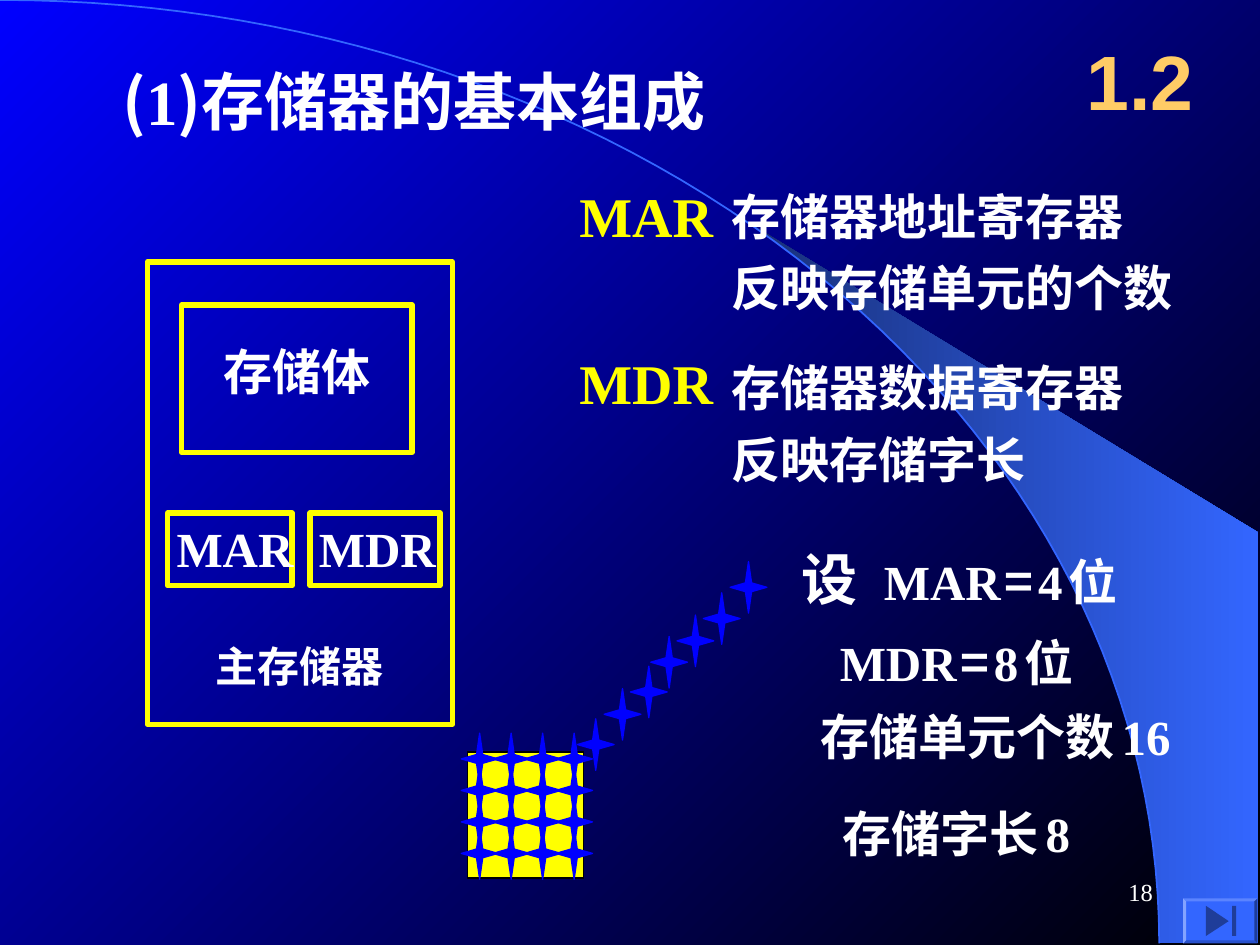
from math import asin, cos, pi, sin

from lxml.etree import SubElement
from pptx import Presentation
from pptx.dml.color import RGBColor
from pptx.enum.shapes import MSO_SHAPE as Kind
from pptx.enum.text import MSO_ANCHOR as Anchor, PP_ALIGN as Align
from pptx.oxml.ns import qn
from pptx.util import Cm, Pt

CJK, ROMAN, SANS = "Noto Sans CJK SC", "Times New Roman", "Arial"
WHITE, YELLOW, BLUE, SKY = "FFFFFF", "FFFF00", "0000FF", "3366FF"

# Paragraphs are lists of runs: (text, points, font)
TITLE = [("(", 36, CJK), ("1", 36, ROMAN), (")存储器的基本组成", 36, CJK)]


def setting(name, value):
    return [(name, 28, ROMAN), (" ", 9, CJK), ("=", 28, CJK), (" ", 12, CJK),
            (value, 28, ROMAN), (" ", 14, ROMAN), ("位", 28, CJK)]


def result(name, value):
    return [(name, 28, CJK), (" ", 18, CJK), (value, 28, ROMAN)]


def plain(*lines):
    return [[(line, 28, CJK)] for line in lines]


# left, top, width, height, paragraphs, colour
NOTES = [
    (11.43, 3.53, 3.86, 1.63, [[("MAR", 32, ROMAN)]], YELLOW),
    (11.43, 6.91, 3.48, 1.63, [[("MDR", 32, ROMAN)]], YELLOW),
    (14.5, 3.63, 10, 2.87, plain("存储器地址寄存器", "反映存储单元的个数"), WHITE),
    (14.5, 7.09, 10, 2.87, plain("存储器数据寄存器", "反映存储字长"), WHITE),
    (16.3, 14.12, 9.1, 1.45, [result("存储单元个数", "16")], WHITE),
    (16.74, 16.08, 8.66, 1.45, [result("存储字长", "8")], WHITE),
]
CASE = [[("设\t", 32, CJK)] + setting("MAR", "4"), setting("MDR", "8")]

# left, top, width, height, label run, anchor, bottom margin
FRAMES = [
    (2.97, 5.28, 6.15, 9.32, ("主存储器", 24, CJK), Anchor.BOTTOM, 0.68),
    (3.66, 6.15, 4.65, 2.97, ("存储体", 28, CJK), Anchor.MIDDLE, 0.42),
    (3.38, 10.34, 2.51, 1.47, ("MAR", 28, ROMAN), Anchor.MIDDLE, 0.2),
    (6.25, 10.34, 2.62, 1.47, ("MDR", 28, ROMAN), Anchor.MIDDLE, 0.2),
]

# Centres of the stars: a 4 by 4 grid, then a rising trail
STARS = [(9.67 + 0.635 * col, 15.3 + 0.635 * row)
         for row in range(4) for col in range(4)]
STARS += [(12.01, 15.01), (12.55, 14.4), (13.08, 13.95), (13.49, 13.35),
          (14.02, 12.92), (14.55, 12.47), (15.09, 11.84)]


def rgb(code):
    return RGBColor.from_string(code)


def blend(fill, start, end, angle):
    fill.gradient()
    fill.gradient_angle = angle
    for stop, code in zip(fill.gradient_stops, (start, end)):
        stop.color.rgb = rgb(code)


def paint(shape, fill=None, line=None, width=0.75):
    shape.shadow.inherit = False
    if fill:
        shape.fill.solid()
        shape.fill.fore_color.rgb = rgb(fill)
    else:
        shape.fill.background()
    if line:
        shape.line.color.rgb = rgb(line)
        shape.line.width = Pt(width)
    else:
        shape.line.fill.background()


def write(shape, paras, color=WHITE, bold=True, align=Align.LEFT,
          anchor=Anchor.TOP, wrap=True, gap=7):
    frame = shape.text_frame
    frame.word_wrap, frame.vertical_anchor = wrap, anchor
    for i, runs in enumerate(paras):
        para = frame.add_paragraph() if i else frame.paragraphs[0]
        para.alignment = align
        if i:
            para.space_before = Pt(gap)
        for text, size, face in runs:
            run = para.add_run()
            run.text = text
            font = run.font
            font.size, font.bold, font.name = Pt(size), bold, face
            font.color.rgb = rgb(color)
            SubElement(font._element, qn("a:ea")).set("typeface", face)
    return frame


def place(shape, *box):
    shape.left, shape.top, shape.width, shape.height = map(Cm, box)


def outline(shapes, points, closed):
    """Freeform through points in cm; the pen keeps whole EMU."""
    spots = [(Cm(x), Cm(y)) for x, y in points]
    pen = shapes.build_freeform(*spots[0], scale=1)
    pen.add_line_segments(spots[1:], close=closed)
    return pen.convert_to_shape()


def arc(start, steps=60):
    """Points on the quarter ellipse, from angle start down to its foot."""
    turns = [start + (pi / 2 - start) * i / steps for i in range(steps + 1)]
    return [(23.37 * sin(t), 19.02 * (1 - cos(t))) for t in turns]


def main():
    deck = Presentation()
    deck.slide_width, deck.slide_height = Cm(25.4), Cm(19.05)
    slide = deck.slides.add_slide(deck.slide_layouts[5])
    shapes = slide.shapes
    blend(slide.background.fill, BLUE, "000000", 315)

    wing = outline(shapes, arc(asin(0.64)) + [(25.37, 19.02), (25.37, 10.74)], True)
    paint(wing)
    blend(wing.fill, "182F76", SKY, 0)
    paint(outline(shapes, arc(0), False), line=SKY, width=1)

    title = shapes.title
    shapes._spTree.append(title._element)
    place(title, 2.21, 1.14, 16.28, 1.78)
    write(title, [TITLE])

    def text(box, paras, **style):
        return write(shapes.add_textbox(*map(Cm, box)), paras, **style)

    text((21.39, 0.43, 3.18, 2.34), [[("1.2", 44, SANS)]], color="FFCC66",
         align=Align.CENTER, anchor=Anchor.MIDDLE)
    text((18.21, 17.35, 5.28, 1.27), [[("18", 14, ROMAN)]], bold=False,
         align=Align.RIGHT, anchor=Anchor.MIDDLE)
    for *box, paras, color in NOTES:
        text(box, paras, color=color)

    first, second = text((15.9, 10.85, 9.5, 3.23), CASE, gap=12).paragraphs
    stops = SubElement(first._p.get_or_add_pPr(), qn("a:tabLst"))
    SubElement(stops, qn("a:tab"), pos=str(Cm(1.67)), algn="l")
    second._p.get_or_add_pPr().set("marL", str(Cm(0.78)))

    for *box, label, anchor, bottom in FRAMES:
        frame = shapes.add_shape(Kind.RECTANGLE, *map(Cm, box))
        paint(frame, line=YELLOW, width=3)
        register = label[2] == ROMAN
        body = write(frame, [[label]], anchor=anchor, wrap=False,
                     align=Align.LEFT if register else Align.CENTER)
        body.margin_bottom = Cm(bottom)
        if register:
            body.margin_left = Cm(0.18)

    block = shapes.add_shape(Kind.RECTANGLE, *map(Cm, (9.42, 15.16, 2.34, 2.54)))
    paint(block, YELLOW, "000000")
    wide, high = 0.74, 1.04
    for x, y in STARS:
        star = shapes.add_shape(Kind.STAR_4_POINT, Cm(x - wide / 2),
                                Cm(y - high / 2), Cm(wide), Cm(high))
        star.adjustments[0] = 0.12
        paint(star, BLUE, BLUE)

    button = shapes.add_shape(Kind.BEVEL, *map(Cm, (23.85, 18.11, 1.5, 0.91)))
    button.adjustments[0] = 0.07
    paint(button, SKY)
    arrow = outline(shapes, [(24.31, 18.26), (24.77, 18.57), (24.31, 18.87)], True)
    bar = shapes.add_shape(Kind.RECTANGLE, *map(Cm, (24.84, 18.26, 0.08, 0.61)))
    for mark in (arrow, bar):
        paint(mark, "1F3D99")
    deck.save("out.pptx")


if __name__ == "__main__":
    main()
